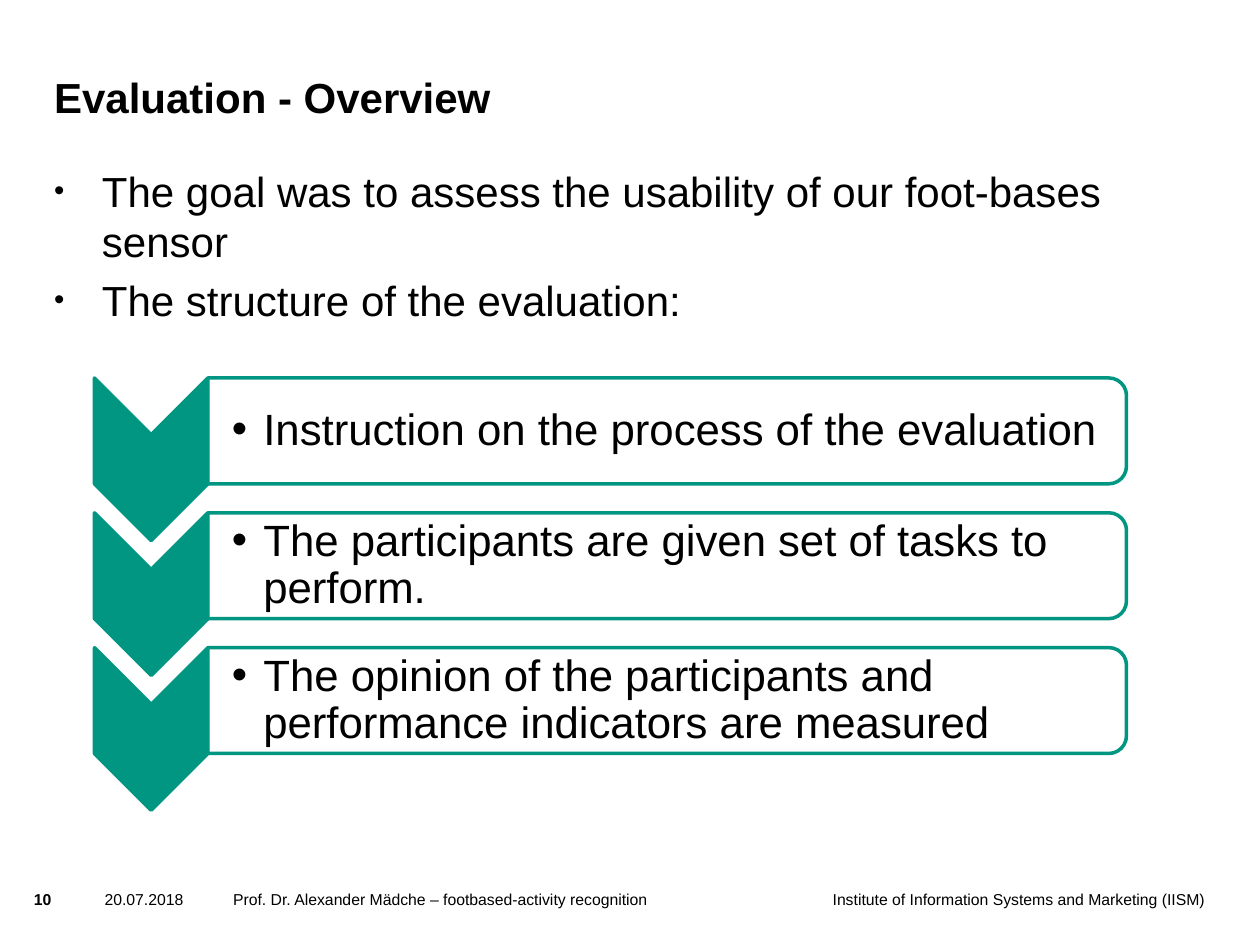
from dataclasses import dataclass, field

from lxml import etree
from pptx import Presentation
from pptx.dml.color import RGBColor
from pptx.enum import shapes, text
from pptx.oxml import ns
from pptx.util import Inches, Pt

BLACK = RGBColor(0x00, 0x00, 0x00)
WHITE = RGBColor(0xFF, 0xFF, 0xFF)
GREEN = RGBColor(0x00, 0x96, 0x82)


@dataclass
class TextBlock:
    """A text area; lengths in inches, sizes in points."""
    left: float
    top: float
    width: float
    height: float
    paragraphs: list[str]
    font: dict = field(default_factory=dict)
    paragraph: dict = field(default_factory=dict)
    anchor: text.MSO_ANCHOR = text.MSO_ANCHOR.TOP
    insets: tuple[float, float, float, float] = (0, 0, 0, 0)
    indent: float = 0
    bullet_percent: int = 100


@dataclass
class Step:
    top: float
    label: str


def add_bullet(paragraph, indent: float, percent: int) -> None:
    properties = paragraph._p.get_or_add_pPr()
    properties.set("marL", str(Inches(indent)))
    properties.set("indent", str(-Inches(indent)))
    for tag, key, value in (("a:buSzPct", "val", str(percent * 1000)),
                            ("a:buFont", "typeface", "Arial"),
                            ("a:buChar", "char", "•")):
        etree.SubElement(properties, ns.qn(tag)).set(key, value)


def add_text(slide, block: TextBlock) -> None:
    box = slide.shapes.add_textbox(Inches(block.left), Inches(block.top),
                                   Inches(block.width), Inches(block.height))
    frame = box.text_frame
    frame.word_wrap = True
    frame.vertical_anchor = block.anchor
    for side, inset in zip(("left", "top", "right", "bottom"), block.insets):
        setattr(frame, f"margin_{side}", Inches(inset))
    frame.text = "\n".join(block.paragraphs)
    for paragraph in frame.paragraphs:
        for name, value in block.paragraph.items():
            setattr(paragraph, name, value)
        if block.indent:
            add_bullet(paragraph, block.indent, block.bullet_percent)
        font = paragraph.runs[0].font
        font.color.rgb = BLACK
        for name, value in ({"name": "Arial"} | block.font).items():
            setattr(font, name, value)


def add_turned_shape(slide, kind, left: float, top: float, width: float,
                     height: float, fill: RGBColor):
    """Place a shape turned by 90 degrees so that it covers the given area."""
    shape = slide.shapes.add_shape(
        kind, Inches(left + (width - height) / 2), Inches(top + (height - width) / 2),
        Inches(height), Inches(width))
    shape.rotation = 90
    shape.shadow.inherit = False
    shape.fill.solid()
    shape.fill.fore_color.rgb = fill
    shape.line.color.rgb = GREEN
    shape.line.width = Pt(2)
    return shape


def add_step(slide, step: Step) -> None:
    add_turned_shape(slide, shapes.MSO_SHAPE.CHEVRON,
                     0.75, step.top, 0.9, 1.29, GREEN)
    panel = add_turned_shape(slide, shapes.MSO_SHAPE.ROUND_2_SAME_RECTANGLE,
                             1.65, step.top, 7.29, 0.84, WHITE)
    color = panel._element.spPr.find(ns.qn("a:solidFill"))[0]
    etree.SubElement(color, ns.qn("a:alpha")).set("val", "90000")
    add_text(slide, TextBlock(
        1.65, step.top + 0.04, 7.25, 0.76, [step.label], {"size": Pt(25)},
        {"line_spacing": 0.9, "space_after": Pt(3.75)},
        text.MSO_ANCHOR.MIDDLE, (0.19, 0.02, 0.02, 0.02), 0.25))


SMALL = {"size": Pt(9)}
LARGE = {"size": Pt(24)}
FOOTER_TOP = 7.06

FOOTER = [
    TextBlock(6.57, FOOTER_TOP, 2.99, 0.39,
              ["Institute of Information Systems and Marketing (IISM)"],
              SMALL, {"alignment": text.PP_ALIGN.RIGHT}),
    TextBlock(0.27, FOOTER_TOP, 0.36, 0.24, ["10"], SMALL | {"bold": True}),
    TextBlock(0.83, FOOTER_TOP, 0.89, 0.24, ["20.07.2018"], SMALL),
    TextBlock(1.85, FOOTER_TOP, 4.57, 0.39,
              ["Prof. Dr. Alexander Mädche – footbased-activity recognition"], SMALL),
]
TITLE = TextBlock(0.43, 0.36, 7.56, 0.61, ["Evaluation - Overview"],
                  LARGE | {"bold": True}, anchor=text.MSO_ANCHOR.BOTTOM)
BODY = TextBlock(0.43, 1.31, 9.14, 5.35,
                 ["The goal was to assess the usability of our foot-bases sensor",
                  "The structure of the evaluation:"],
                 LARGE, {"space_before": Pt(4.8)}, indent=0.38, bullet_percent=70)

STEP_TOP, STEP_PITCH = 3.0, 1.07
STEP_LABELS = [
    "Instruction on the process of the evaluation",
    "The participants are given set of tasks to perform.",
    "The opinion of the participants and performance indicators are measured",
]


def main() -> None:
    presentation = Presentation()
    presentation.slide_width = Inches(10)
    presentation.slide_height = Inches(7.5)
    slide = presentation.slides.add_slide(presentation.slide_layouts[6])

    # Footer, title and introduction
    for block in [*FOOTER, TITLE, BODY]:
        add_text(slide, block)

    # Steps of the evaluation
    for index, label in enumerate(STEP_LABELS):
        add_step(slide, Step(STEP_TOP + index * STEP_PITCH, label))

    presentation.save("out.pptx")


if __name__ == "__main__":
    main()
